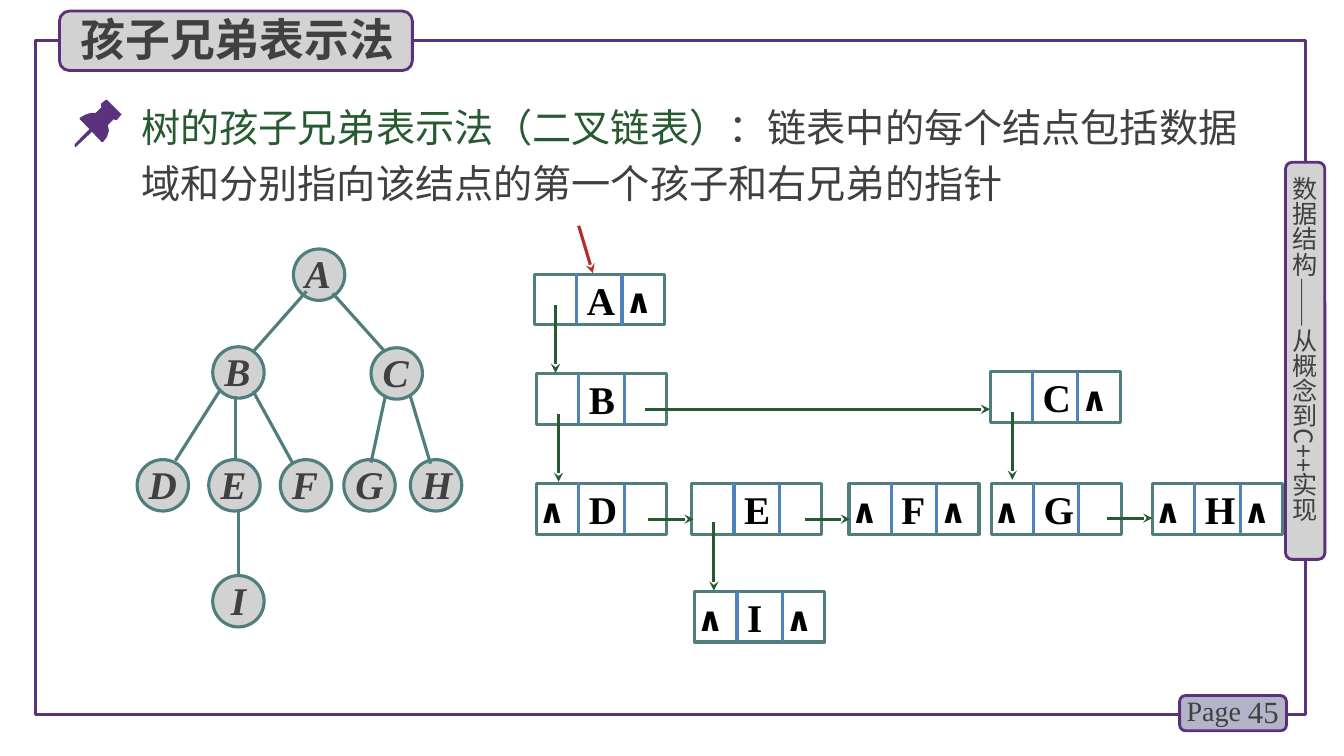
from dataclasses import dataclass

from lxml import etree
from pptx import Presentation
from pptx.dml.color import RGBColor
from pptx.enum.shapes import MSO_CONNECTOR, MSO_SHAPE
from pptx.enum.text import MSO_ANCHOR, PP_ALIGN
from pptx.oxml.ns import qn
from pptx.util import Pt

STRAIGHT = MSO_CONNECTOR.STRAIGHT
RECTANGLE, ROUNDED, OVAL = MSO_SHAPE.RECTANGLE, MSO_SHAPE.ROUNDED_RECTANGLE, MSO_SHAPE.OVAL
TOP, MIDDLE = MSO_ANCHOR.TOP, MSO_ANCHOR.MIDDLE
LEFT, CENTER, RIGHT = PP_ALIGN.LEFT, PP_ALIGN.CENTER, PP_ALIGN.RIGHT
EMU_PER_PX = 9144


@dataclass(frozen=True)
class Theme:
    """Colours, fonts and type sizes of the slide."""
    frame: str = "5A327D"
    tab_line: str = "5C307D"
    panel: str = "D2D2D2"
    page_fill: str = "B4B4C8"
    teal: str = "507D7D"
    divider: str = "4F81BD"
    green: str = "285A32"
    red: str = "B42D2D"
    ink: str = "404040"
    black: str = "000000"
    chinese: str = "Noto Sans CJK SC"
    serif: str = "Times New Roman"
    sans: str = "Calibri"
    title: int = 32
    body: int = 28
    null: int = 24
    number: int = 22
    page: int = 20
    side: int = 18
    line: float = 2.25
    tab_width: float = 2


THEME = Theme()
DEFAULT_INSETS = (10, 5, 10, 5)
NO_INSETS = (0, 0, 0, 0)
PIN_HEAD = [(120, 113), (106, 99), (105, 99), (100, 103), (100, 105), (101, 106),
            (95, 112), (90, 112), (84, 114), (79, 117), (79, 118), (101, 141),
            (102, 141), (106, 136), (108, 130), (107, 124), (113, 118), (114, 119),
            (116, 119), (120, 114), (121, 113)]
PIN_NEEDLE = [(75, 146), (74, 145), (74, 143), (89, 128), (91, 127), (92, 128),
              (92, 130), (76, 145)]
TREE_NODES = {"A": (291, 247), "C": (368, 345), "B": (211, 344), "G": (341, 456),
              "F": (278, 456), "E": (207, 456), "D": (136, 456), "H": (407, 456),
              "I": (211, 571)}
TREE_EDGES = [(304, 289, 251, 349), (382, 394, 368, 459), (234, 393, 234, 457),
              (251, 388, 290, 459), (219, 386, 174, 457), (427, 460, 407, 393),
              (382, 349, 330, 291), (237, 508, 237, 572)]
LIST_NODES = [("A", 530, 272, "right"), ("B", 532, 371, ""), ("C", 982, 369, "right"),
              ("D", 532, 480, "left"), ("E", 686, 480, ""), ("F", 842, 480, "left right"),
              ("G", 983, 480, "left"), ("H", 1143, 480, "left right"),
              ("I", 689, 587, "left right")]
POINTERS = [(551, 303, 551, 370), (554, 411, 554, 478), (640, 406, 982, 406),
            (798, 515, 843, 515), (708, 518, 708, 586), (1004, 409, 1004, 476),
            (1098, 514, 1143, 514), (643, 515, 688, 515)]


def px(*lengths):
    """Turn lengths in px into EMU."""
    return [length * EMU_PER_PX for length in lengths]


def apply(target, values):
    """Set each named attribute of the target."""
    for name, value in values.items():
        setattr(target, name, value)


def write(shape, runs, size, font, insets=DEFAULT_INSETS, anchor=TOP, **paragraph_format):
    """Write one paragraph of (text, colour, emphasis) runs into a shape."""
    frame = shape.text_frame
    sides = ("margin_left", "margin_top", "margin_right", "margin_bottom")
    apply(frame, dict(zip(sides, px(*insets))))
    apply(frame, {"word_wrap": True, "vertical_anchor": anchor})
    paragraph = frame.paragraphs[0]
    apply(paragraph, {"alignment": LEFT, **paragraph_format})
    for text, color, emphasis in runs:
        run = paragraph.add_run()
        run.text = text
        apply(run.font, {"size": Pt(size), "name": font, **emphasis})
        run.font.color.rgb = RGBColor.from_string(color)
    for properties in shape.element.iter(qn("a:rPr")):
        etree.SubElement(properties, qn("a:ea")).set("typeface", font)


def paint(shape, fill=None, line=None, width=THEME.line):
    """Give a shape its fill and outline, without a shadow."""
    shape.shadow.inherit = False
    for part, color in ((shape.fill, fill), (shape.line.fill, line)):
        if color:
            part.solid()
            part.fore_color.rgb = RGBColor.from_string(color)
        else:
            part.background()
    if line:
        shape.line.width = Pt(width)


def add_box(slide, kind, bounds, **look):
    """Add a painted preset shape."""
    shape = slide.shapes.add_shape(kind, *px(*bounds))
    paint(shape, **look)
    return shape


def add_label(slide, bounds, runs, size, font, **layout):
    """Add a text box."""
    label = slide.shapes.add_textbox(*px(*bounds))
    write(label, runs, size, font, **layout)
    return label


def add_line(slide, ends, color, arrow=False):
    """Add a straight line, with a stealth arrowhead if wanted."""
    connector = slide.shapes.add_connector(STRAIGHT, *px(*ends))
    connector.line.width = Pt(THEME.line)
    connector.line.color.rgb = RGBColor.from_string(color)
    properties = connector.element.spPr
    if arrow:
        etree.SubElement(properties.find(qn("a:ln")), qn("a:tailEnd")).set("type", "stealth")
    etree.SubElement(properties, qn("a:effectLst"))


def add_outline(slide, points):
    """Add a filled closed outline through the points."""
    builder = slide.shapes.build_freeform(*points[0], scale=EMU_PER_PX)
    builder.add_line_segments(points[1:], close=True)
    paint(builder.convert_to_shape(), fill=THEME.frame)


def add_tree_node(slide, letter, left, top):
    """Add a lettered circle of the tree."""
    circle = add_box(slide, OVAL, (left, top, 51, 51), fill=THEME.panel, line=THEME.teal)
    write(circle, [(letter, THEME.ink, {"bold": True, "italic": True})], THEME.body,
          THEME.serif, insets=(4, 2, 4, 4), line_spacing=0.8,
          alignment=CENTER if letter == "I" else LEFT)


def add_list_node(slide, letter, left, top, nulls):
    """Add a three-field list node with its null marks."""
    bold = {"bold": True}
    box = add_box(slide, RECTANGLE, (left, top, 129, 50), line=THEME.teal)
    write(box, [(letter, THEME.black, bold)], THEME.body, THEME.serif,
          insets=(52, 0, 10, 0), anchor=MIDDLE)
    for offset, rise in ((42, 1), (87, 0)):
        x = left + offset
        add_line(slide, (x, top - rise, x, top - rise + 50), THEME.divider)
    for side, offset in (("left", 2), ("right", 90)):
        if side in nulls:
            add_label(slide, (left + offset, top + 6, 40, 40), [("∧", THEME.black, bold)],
                      THEME.null, THEME.sans, insets=NO_INSETS)


def add_page_frame(slide):
    """Add the border, page number, side tab and title."""
    tab = {"line": THEME.tab_line, "width": THEME.tab_width}
    add_box(slide, RECTANGLE, (35, 40, 1260, 669), line=THEME.frame)
    add_box(slide, ROUNDED, (1170, 690, 106, 35), fill=THEME.page_fill, **tab)
    add_label(slide, (1207, 686, 71, 40), [("45", THEME.ink, {})], THEME.number,
              THEME.serif, anchor=MIDDLE, alignment=RIGHT)
    add_label(slide, (1167, 683, 78, 44), [("Page", THEME.ink, {})], THEME.page, THEME.serif)
    add_box(slide, ROUNDED, (1275, 161, 39, 394), fill=THEME.panel, **tab)
    side = add_label(slide, (1279, 175, 30, 378), [("数据结构——从概念到C++实现", THEME.ink, {})],
                     THEME.side, THEME.chinese, insets=NO_INSETS)
    side.element.txBody.bodyPr.set("vert", "eaVert")
    add_box(slide, ROUNDED, (59, 11, 350, 59), fill=THEME.panel, **tab)
    add_label(slide, (70, 7, 338, 64), [("孩子兄弟表示法", THEME.ink, {"bold": True})],
              THEME.title, THEME.chinese)


def main():
    """Build and save the slide."""
    presentation = Presentation()
    presentation.slide_width, presentation.slide_height = px(1333, 750)
    slide = presentation.slides.add_slide(presentation.slide_layouts[6])
    add_page_frame(slide)
    for letter, position in TREE_NODES.items():
        add_tree_node(slide, letter, *position)
    for ends in TREE_EDGES:
        add_line(slide, ends, THEME.teal)
    add_label(slide, (136, 89, 1094, 118), [
        ("树的孩子兄弟表示法（二叉链表）", THEME.green, {}),
        ("：链表中的每个结点包括数据域和分别指向该结点的第一个孩子和右兄弟的指针", THEME.ink, {}),
    ], THEME.body, THEME.chinese, insets=(4, 5, 0, 5), line_spacing=Pt(40))
    for points in (PIN_HEAD, PIN_NEEDLE):
        add_outline(slide, points)
    for node in LIST_NODES:
        add_list_node(slide, *node)
    for ends in POINTERS:
        add_line(slide, ends, THEME.green, arrow=True)
    add_line(slide, (574, 224, 588, 271), THEME.red, arrow=True)
    presentation.save("out.pptx")


if __name__ == "__main__":
    main()
